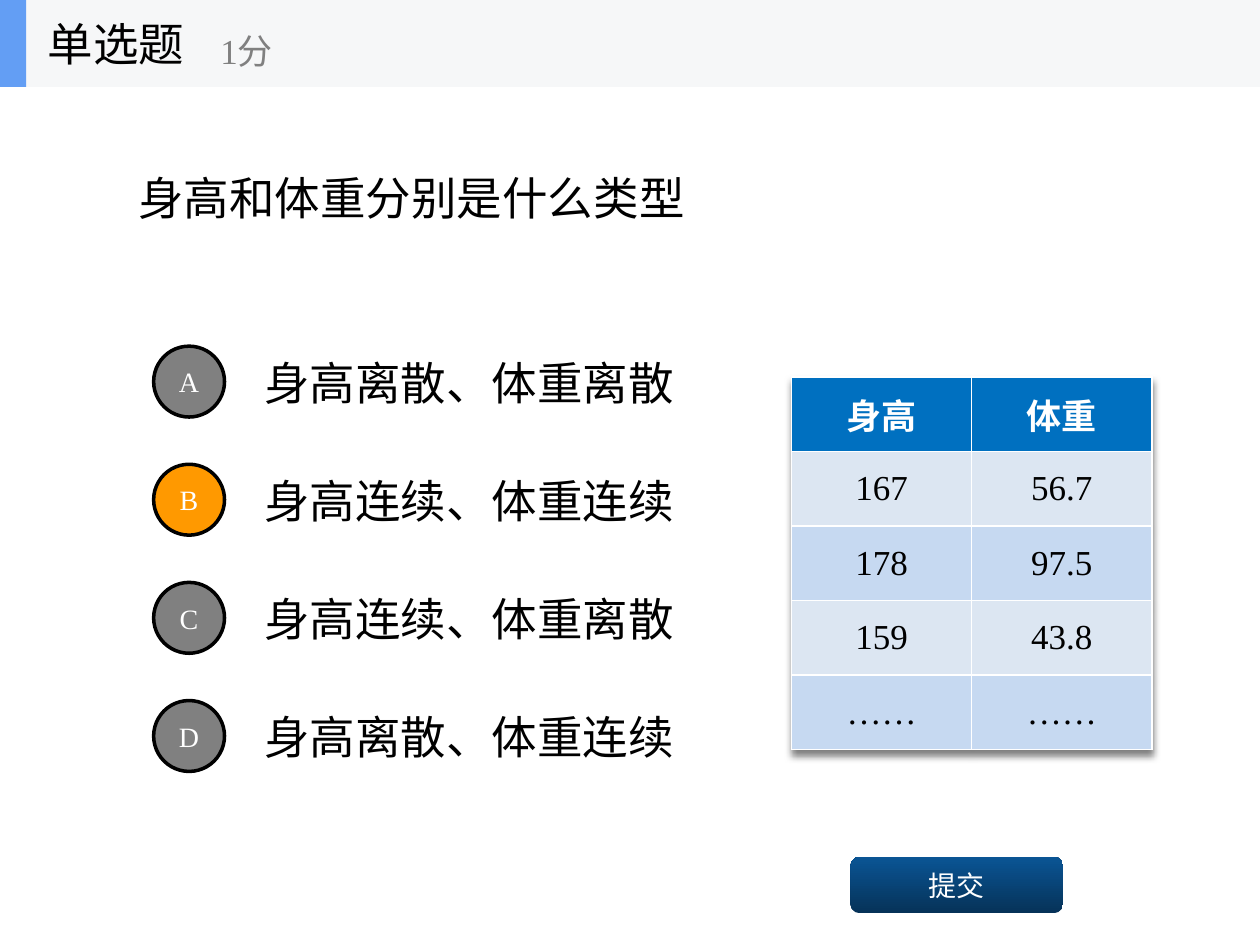
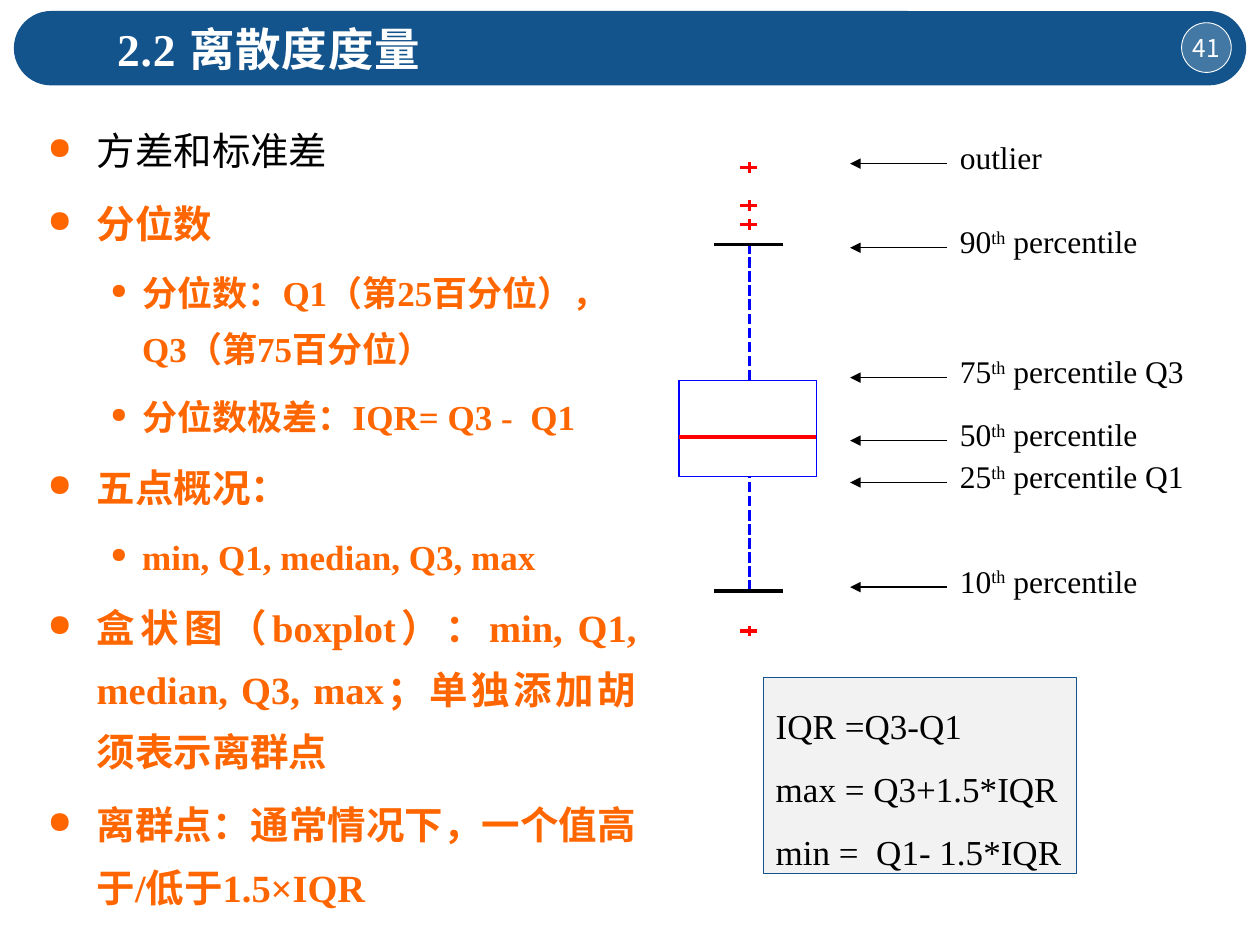
"""Build a quiz slide and a slide on measures of dispersion."""
from dataclasses import dataclass
from typing import NamedTuple, Optional

import lxml.etree
import pptx
import pptx.dml.color
import pptx.enum.dml
import pptx.enum.shapes
import pptx.enum.text
import pptx.oxml.ns
import pptx.util

Pt = pptx.util.Pt
qn = pptx.oxml.ns.qn
SHAPE = pptx.enum.shapes.MSO_SHAPE
ALIGN = pptx.enum.text.PP_ALIGN
ANCHOR = pptx.enum.text.MSO_ANCHOR
LATIN, CJK = "Times New Roman", "Noto Sans CJK SC"
BLACK, WHITE, GREY, RED = "000000", "FFFFFF", "808080", "FF0000"
NAVY, ORANGE, BLUE = "13548C", "FF6600", "0000FF"


class Area(NamedTuple):
    left: float
    top: float
    width: float
    height: float


@dataclass
class Style:
    size: float
    color: str = BLACK
    bold: bool = False
    font: str = LATIN


@dataclass
class Block:
    area: Area
    kind: Optional[SHAPE] = None
    fill: Optional[str] = None
    line: Optional[str] = None
    line_width: float = 0
    text: str = ""
    style: Optional[Style] = None
    align: ALIGN = ALIGN.LEFT
    anchor: ANCHOR = ANCHOR.MIDDLE


class Rule(NamedTuple):
    x1: float
    y1: float
    x2: float
    y2: float
    color: str
    width: float = 0
    dashed: bool = False
    arrow: bool = False


class Bullet(NamedTuple):
    level: int
    text: str
    color: str = ORANGE
    bold: bool = True


class Marker(NamedTuple):
    y: float
    rank: str
    suffix: str
    note: str
    width: float


def rgb(color: str) -> pptx.dml.color.RGBColor:
    """Turn a hex string into a colour."""
    return pptx.dml.color.RGBColor.from_string(color)


def add_xml(parent, tag: str, **attributes: str):
    """Append a child element with attributes."""
    return lxml.etree.SubElement(parent, qn(tag), attributes)


def format_runs(paragraph, style: Style) -> None:
    """Apply a text style to every run of a paragraph."""
    for run in paragraph.runs:
        run.font.name = style.font
        run.font.size = Pt(style.size)
        run.font.bold = style.bold
        run.font.color.rgb = rgb(style.color)
        if any(letter >= "⺀" for letter in run.text):
            add_xml(run.font._element, "a:ea", typeface=CJK)


def draw_block(slide, block: Block):
    """Draw a text box or a shape with its text."""
    area = [Pt(length) for length in block.area]
    if block.kind is None:
        shape = slide.shapes.add_textbox(*area)
    else:
        shape = slide.shapes.add_shape(block.kind, *area)
        shape.shadow.inherit = False
        if block.fill:
            shape.fill.solid()
            shape.fill.fore_color.rgb = rgb(block.fill)
        else:
            shape.fill.background()
        if block.line:
            shape.line.color.rgb = rgb(block.line)
            shape.line.width = Pt(block.line_width)
        else:
            shape.line.fill.background()
    frame = shape.text_frame
    frame.word_wrap = True
    frame.vertical_anchor = block.anchor
    if block.text:
        frame.text = block.text
        for paragraph in frame.paragraphs:
            paragraph.alignment = block.align
            format_runs(paragraph, block.style)
    return shape


def draw_rule(slide, rule: Rule) -> None:
    """Draw a straight line, with an arrowhead at its start if asked."""
    ends = [Pt(length) for length in rule[:4]]
    connector = slide.shapes.add_connector(pptx.enum.shapes.MSO_CONNECTOR.STRAIGHT, *ends)
    connector.line.color.rgb = rgb(rule.color)
    connector.line.width = Pt(rule.width)
    if rule.dashed:
        connector.line.dash_style = pptx.enum.dml.MSO_LINE.SQUARE_DOT
    properties = connector._element.spPr
    if rule.arrow:
        add_xml(properties.find(qn("a:ln")), "a:headEnd", type="triangle")
    add_xml(properties, "a:effectLst")


def draw_measurements(slide) -> None:
    """Draw the table of heights and weights."""
    records = [("身高", "体重"), ("167", "56.7"), ("178", "97.5"), ("159", "43.8"), ("……", "……")]
    fills = ["0070C0", "DCE6F2", "C6D9F1", "DCE6F2", "C6D9F1"]
    area = [Pt(length) for length in (452.3, 215.5, 206, 213)]
    table = slide.shapes.add_table(len(records), 2, *area).table
    effects = lxml.etree.Element(qn("a:effectLst"))
    shadow = add_xml(effects, "a:outerShdw", blurRad="50800", dist="38100", dir="5400000")
    add_xml(add_xml(shadow, "a:srgbClr", val=BLACK), "a:alpha", val="50000")
    table._tbl.tblPr.insert(0, effects)
    for row, (record, fill) in enumerate(zip(records, fills)):
        header = row == 0
        for column, value in enumerate(record):
            cell = table.cell(row, column)
            properties = cell._tc.get_or_add_tcPr()
            for side in "LRTB":
                border = add_xml(properties, f"a:ln{side}", w=str(Pt(1)))
                add_xml(add_xml(border, "a:solidFill"), "a:srgbClr", val=WHITE)
            cell.fill.solid()
            cell.fill.fore_color.rgb = rgb(fill)
            cell.vertical_anchor = ANCHOR.MIDDLE
            cell.text = value
            paragraph = cell.text_frame.paragraphs[0]
            paragraph.alignment = ALIGN.CENTER
            format_runs(paragraph, Style(20, WHITE if header else BLACK, header))


def draw_quiz(slide) -> None:
    """Draw the single-choice question."""
    heading = Style(26)
    draw_block(slide, Block(Area(72, 50, 576, 126), text="身高和体重分别是什么类型", style=heading))
    answers = ["身高离散、体重离散", "身高连续、体重连续", "身高连续、体重离散", "身高离散、体重连续"]
    for index, (letter, answer) in enumerate(zip("ABCD", answers)):
        top = 193 + 67.5 * index
        draw_block(slide, Block(Area(144, top, 504, 50.4), text=answer, style=heading))
        draw_block(slide, Block(Area(87.8, top + 4.8, 40.5, 40.5), SHAPE.OVAL,
                                "FF9900" if letter == "B" else GREY, BLACK, 2,
                                letter, Style(16, WHITE), ALIGN.CENTER))
    draw_measurements(slide)
    submit = draw_block(slide, Block(Area(486, 489.5, 121.5, 32.4), SHAPE.ROUNDED_RECTANGLE,
                                     text="提交", style=Style(16, WHITE), align=ALIGN.CENTER))
    submit.fill.gradient()
    submit.fill.gradient_angle = 90
    for stop, color in zip(submit.fill.gradient_stops, ("063258", "0A5595")):
        stop.color.rgb = rgb(color)
    for block in (
        Block(Area(0, 0, 720, 49.7), SHAPE.RECTANGLE, "F6F7F8"),
        Block(Area(0, 0, 15, 49.7), SHAPE.RECTANGLE, "639EF4"),
        Block(Area(20.2, 0, 150, 49.7), text="单选题", style=heading),
        Block(Area(118.8, 8.6, 180, 40.3), text="1分", style=Style(20, GREY)),
    ):
        draw_block(slide, block)


def draw_title(slide, title: str, number: str) -> None:
    """Draw the title band with the page number."""
    band = draw_block(slide, Block(Area(7.9, 6.3, 704.2, 42.5), SHAPE.ROUNDED_RECTANGLE, NAVY))
    band.adjustments[0] = 0.5
    badge = draw_block(slide, Block(Area(675.2, 13, 28.4, 28.4), SHAPE.OVAL, WHITE, WHITE, 0.5,
                                    number, Style(14, WHITE, font=CJK), ALIGN.CENTER))
    add_xml(badge._element.spPr.find(".//" + qn("a:srgbClr")), "a:alpha", val="21000")
    frame = badge.text_frame
    frame.margin_left = frame.margin_right = frame.margin_top = frame.margin_bottom = 0
    frame.word_wrap = False
    heading = draw_block(slide, Block(Area(59.8, 8.6, 538.6, 38.9), text=title,
                                      style=Style(26, WHITE, True), anchor=ANCHOR.TOP))
    for run in heading.text_frame.paragraphs[0].runs:
        run.font._element.set("spc", "50")


def draw_bullets(slide) -> None:
    """Draw the list of dispersion measures."""
    bullets = [
        Bullet(0, "方差和标准差", BLACK, False),
        Bullet(0, "分位数"),
        Bullet(1, "分位数：Q1（第25百分位），Q3（第75百分位）"),
        Bullet(1, "分位数极差：IQR= Q3 -  Q1"),
        Bullet(0, "五点概况："),
        Bullet(1, "min, Q1, median, Q3, max"),
        Bullet(0, "盒状图（boxplot）：min, Q1, median, Q3, max；单独添加胡须表示离群点"),
        Bullet(0, "离群点：通常情况下，一个值高于/低于1.5×IQR"),
    ]
    measures = draw_block(slide, Block(Area(20.2, 59.8, 350.6, 464.4), anchor=ANCHOR.TOP))
    frame = measures.text_frame
    frame.text = "\n".join(bullet.text for bullet in bullets)
    for index, (paragraph, bullet) in enumerate(zip(frame.paragraphs, bullets)):
        margin, indent, scale, size = [(28, -28, 80, 22), (54, -18, 60, 20)][bullet.level]
        properties = paragraph._p.get_or_add_pPr()
        properties.set("marL", str(Pt(margin)))
        properties.set("indent", str(Pt(indent)))
        add_xml(add_xml(properties, "a:buClr"), "a:srgbClr", val=ORANGE)
        add_xml(properties, "a:buSzPct", val=str(scale * 1000))
        add_xml(properties, "a:buChar", char="●")
        paragraph.level = bullet.level
        paragraph.alignment = ALIGN.LEFT if bullet.level else ALIGN.JUSTIFY
        paragraph.line_spacing = 1.35
        paragraph.space_before = Pt(6 if index else 0)
        format_runs(paragraph, Style(size, bullet.color, bullet.bold))


def draw_boxplot(slide) -> None:
    """Draw the box plot with its labelled percentiles."""
    middle, upper, median, lower = 428.4, 217.4, 249.8, 272.2
    maximum, minimum = 139.7, 337.7
    box_left, box_width = 388, 78.5
    draw_rule(slide, Rule(middle, upper, middle, maximum, BLUE, dashed=True))
    draw_rule(slide, Rule(middle, minimum, middle, lower, BLUE, dashed=True))
    for whisker_end in (minimum, maximum):
        draw_rule(slide, Rule(408, whisker_end, 447.4, whisker_end, BLACK))
    draw_block(slide, Block(Area(box_left, upper, box_width, lower - upper), SHAPE.RECTANGLE, line=BLUE))
    draw_rule(slide, Rule(box_left, median, box_left + box_width, median, RED))
    for outlier in (95.6, 128.4, 117.4, 360.7):
        draw_rule(slide, Rule(423, outlier, 432.4, outlier, RED))
        draw_rule(slide, Rule(middle, outlier - 3, middle, outlier + 3, RED))
    markers = [
        Marker(93.5, "outlier", "", "", 83.5),
        Marker(335.5, "10", "th", " percentile", 153.4),
        Marker(275.7, "25", "th", " percentile Q1", 175.7),
        Marker(215.8, "75", "th", " percentile Q3", 175.7),
        Marker(251.8, "50", "th", " percentile", 153.4),
        Marker(141.6, "90", "th", " percentile", 153.4),
    ]
    for marker in markers:
        draw_rule(slide, Rule(485.8, marker.y, 541.4, marker.y, BLACK, 0.75, arrow=True))
        label = draw_block(slide, Block(Area(541.4, marker.y - 18, marker.width, 28.8),
                                        SHAPE.RECTANGLE, WHITE, anchor=ANCHOR.TOP))
        paragraph = label.text_frame.paragraphs[0]
        paragraph.alignment = ALIGN.LEFT
        for part in filter(None, marker[1:4]):
            run = paragraph.add_run()
            run.text = part
            if part == marker.suffix:
                run.font._element.set("baseline", "30000")
        format_runs(paragraph, Style(18))


def draw_dispersion(slide) -> None:
    """Draw the slide on quantiles and box plots."""
    draw_title(slide, "2.2 离散度度量", "41")
    draw_bullets(slide)
    draw_boxplot(slide)
    formulas = draw_block(slide, Block(
        Area(436.2, 387.2, 179, 112), SHAPE.RECTANGLE, "F2F2F2", NAVY, 0.75,
        "IQR =Q3-Q1\nmax = Q3+1.5*IQR\nmin =  Q1- 1.5*IQR", Style(20), anchor=ANCHOR.TOP))
    formulas.text_frame.word_wrap = False
    formulas.text_frame.auto_size = pptx.enum.text.MSO_AUTO_SIZE.SHAPE_TO_FIT_TEXT
    for paragraph in formulas.text_frame.paragraphs:
        paragraph.line_spacing = 1.5


def main() -> None:
    """Build and save the presentation."""
    deck = pptx.Presentation()
    deck.slide_width, deck.slide_height = Pt(720), Pt(540)
    for draw in (draw_quiz, draw_dispersion):
        draw(deck.slides.add_slide(deck.slide_layouts[6]))
    deck.save("out.pptx")


if __name__ == "__main__":
    main()
